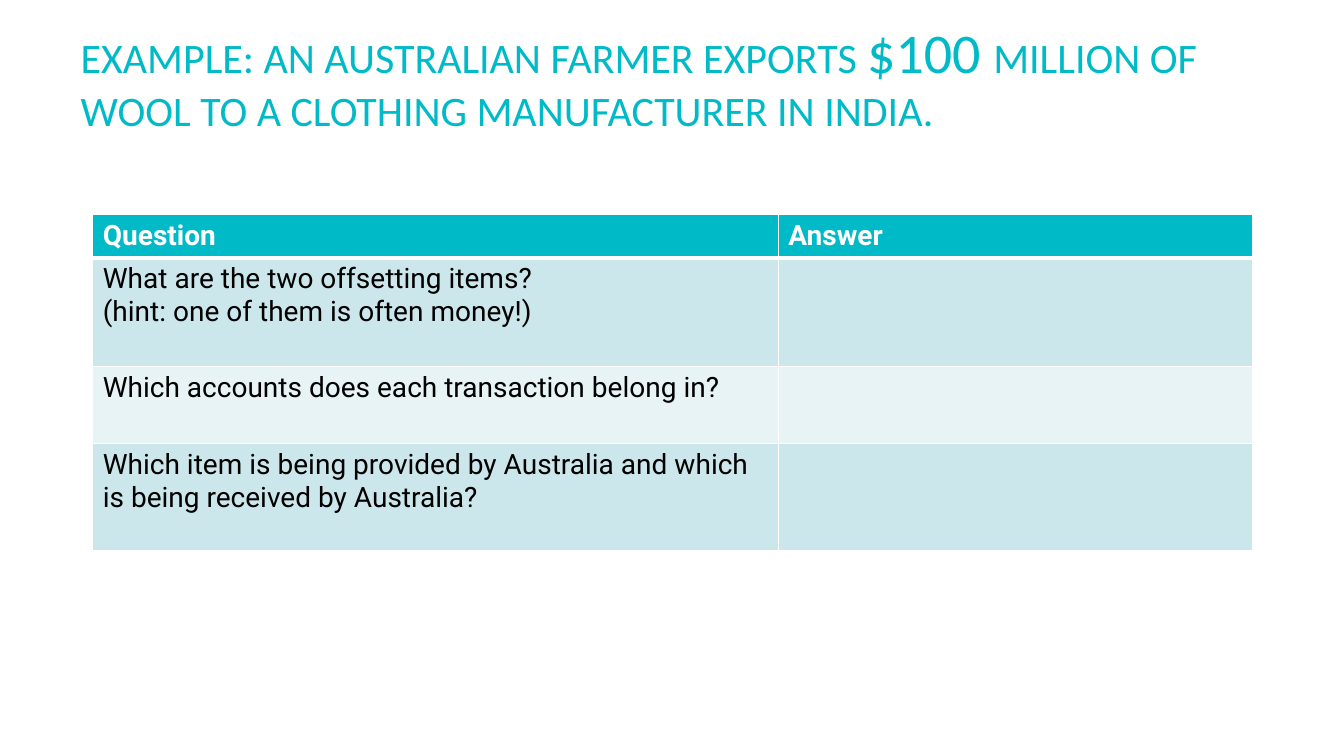
from dataclasses import dataclass

from lxml import etree
from pptx import Presentation
from pptx.dml.color import RGBColor
from pptx.enum.text import MSO_ANCHOR, MSO_AUTO_SIZE, PP_ALIGN
from pptx.oxml.ns import qn
from pptx.util import Inches, Pt

BOTTOM = MSO_ANCHOR.BOTTOM
FIXED_SIZE = MSO_AUTO_SIZE.NONE
LEFT = PP_ALIGN.LEFT
TITLE_ONLY = 5


@dataclass(frozen=True)
class Theme:
    accent: str = "00BAC8"
    band_dark: str = "CCE7EB"
    band_light: str = "E7F3F5"
    white: str = "FFFFFF"
    black: str = "000000"
    title_font: str = "Calibri"
    table_font: str = "Roboto"
    title_size: int = 30
    amount_size: int = 40
    table_size: int = 20
    rule: int = 1
    header_rule: int = 3


@dataclass(frozen=True)
class Area:
    """A place on a grid of 133.3 columns by 75 rows."""
    column: float
    row: float
    columns: float
    rows: float


@dataclass(frozen=True)
class TableRow:
    question: str
    answer: str
    rows: float
    fill: str
    color: str
    bold: bool = False
    rule_above: int = 1
    rule_below: int = 1


THEME = Theme()
GRID_COLUMNS, GRID_ROWS = 133.3, 75
TITLE_AREA = Area(7, 4.3, 121.5, 14.5)
TABLE_AREA = Area(9.2, 21.3, 115, 33.2)
QUESTION_COLUMNS = 68
TITLE_BOTTOM_INSET = 5.4

TITLE_RUNS = (
    ("EXAMPLE: AN AUSTRALIAN FARMER EXPORTS ", THEME.title_size),
    ("$100 ", THEME.amount_size),
    ("MILLION OF WOOL TO A CLOTHING MANUFACTURER IN INDIA.", THEME.title_size),
)
TABLE_ROWS = (
    TableRow("Question", "Answer", 4.1, THEME.accent, THEME.white, bold=True,
             rule_below=THEME.header_rule),
    TableRow("What are the two offsetting items?\n(hint: one of them is often money!)", "",
             10.8, THEME.band_dark, THEME.black, rule_above=THEME.header_rule),
    TableRow("Which accounts does each transaction belong in?", "",
             7.6, THEME.band_light, THEME.black),
    TableRow("Which item is being provided by Australia and which is being received by Australia?",
             "", 10.7, THEME.band_dark, THEME.black),
)


def grid(units: float) -> int:
    return Inches(units / 10)


def place(area: Area) -> dict[str, int]:
    return {"left": grid(area.column), "top": grid(area.row),
            "width": grid(area.columns), "height": grid(area.rows)}


def format_font(font, color: str, **values) -> None:
    for name, value in values.items():
        setattr(font, name, value)
    font.color.rgb = RGBColor.from_string(color)


def add_title(slide) -> None:
    title = slide.shapes.title
    for name, value in place(TITLE_AREA).items():
        setattr(title, name, value)
    frame = title.text_frame
    frame_format = {"auto_size": FIXED_SIZE, "word_wrap": True, "vertical_anchor": BOTTOM,
                    "margin_bottom": grid(TITLE_BOTTOM_INSET)}
    for name, value in frame_format.items():
        setattr(frame, name, value)
    sentence = frame.paragraphs[0]
    sentence.alignment = LEFT
    for text, size in TITLE_RUNS:
        run = sentence.add_run()
        run.text = text
        format_font(run.font, THEME.accent, name=THEME.title_font, size=Pt(size))


def set_borders(cell, row: TableRow) -> None:
    """Draw the four cell borders, which must come before the fill."""
    widths = {"a:lnL": THEME.rule, "a:lnR": THEME.rule,
              "a:lnT": row.rule_above, "a:lnB": row.rule_below}
    properties = cell._tc.get_or_add_tcPr()
    for position, (side, width) in enumerate(widths.items()):
        line = etree.Element(qn(side), w=str(Pt(width)))
        fill = etree.SubElement(line, qn("a:solidFill"))
        etree.SubElement(fill, qn("a:srgbClr"), val=THEME.white)
        properties.insert(position, line)


def fill_cell(cell, text: str, row: TableRow) -> None:
    cell.text = text
    cell.fill.solid()
    cell.fill.fore_color.rgb = RGBColor.from_string(row.fill)
    set_borders(cell, row)
    for paragraph in cell.text_frame.paragraphs:
        for run in paragraph.runs:
            format_font(run.font, row.color, name=THEME.table_font,
                        size=Pt(THEME.table_size), bold=row.bold)


def add_questions(slide) -> None:
    questions = slide.shapes.add_table(len(TABLE_ROWS), 2, **place(TABLE_AREA)).table
    questions.columns[0].width = grid(QUESTION_COLUMNS)
    questions.columns[1].width = grid(TABLE_AREA.columns - QUESTION_COLUMNS)
    for index, row in enumerate(TABLE_ROWS):
        questions.rows[index].height = grid(row.rows)
        for column, text in enumerate((row.question, row.answer)):
            fill_cell(questions.cell(index, column), text, row)


def main() -> None:
    presentation = Presentation()
    presentation.slide_width = grid(GRID_COLUMNS)
    presentation.slide_height = grid(GRID_ROWS)
    slide = presentation.slides.add_slide(presentation.slide_layouts[TITLE_ONLY])
    add_title(slide)
    add_questions(slide)
    presentation.save("out.pptx")


if __name__ == "__main__":
    main()
